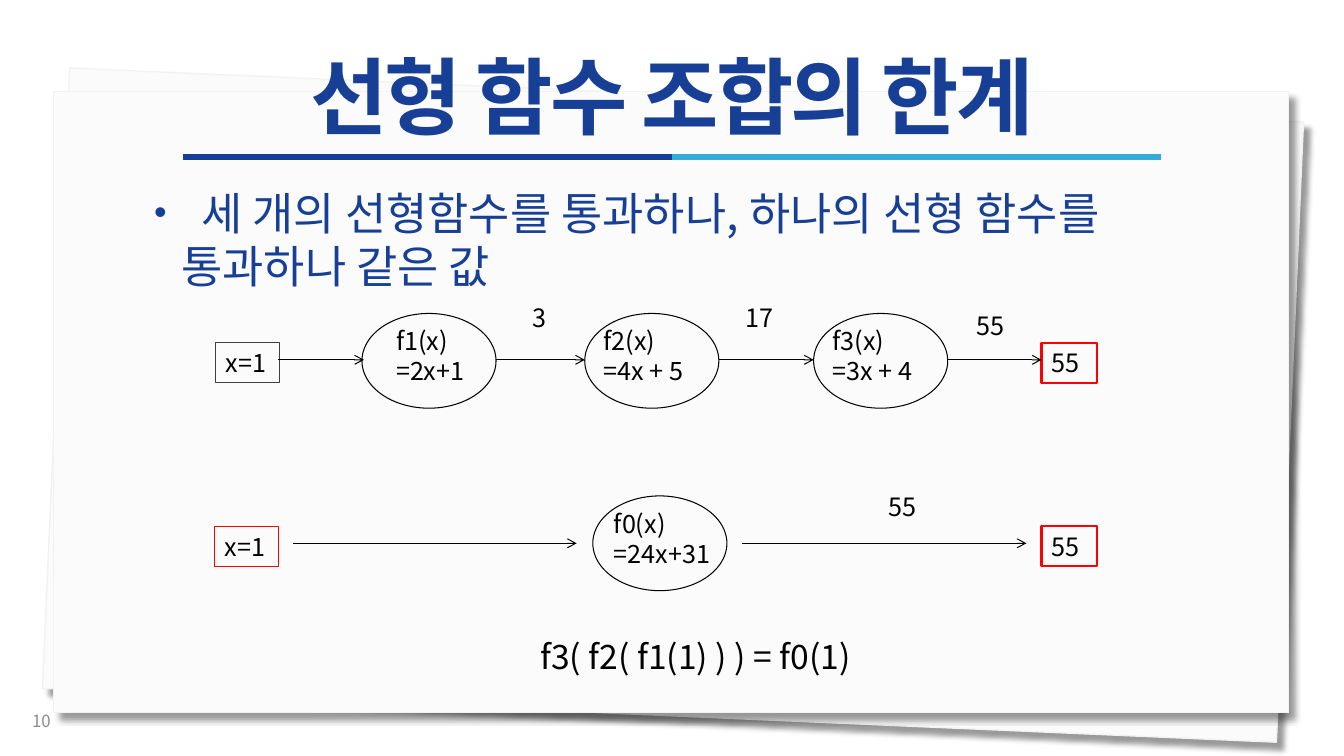
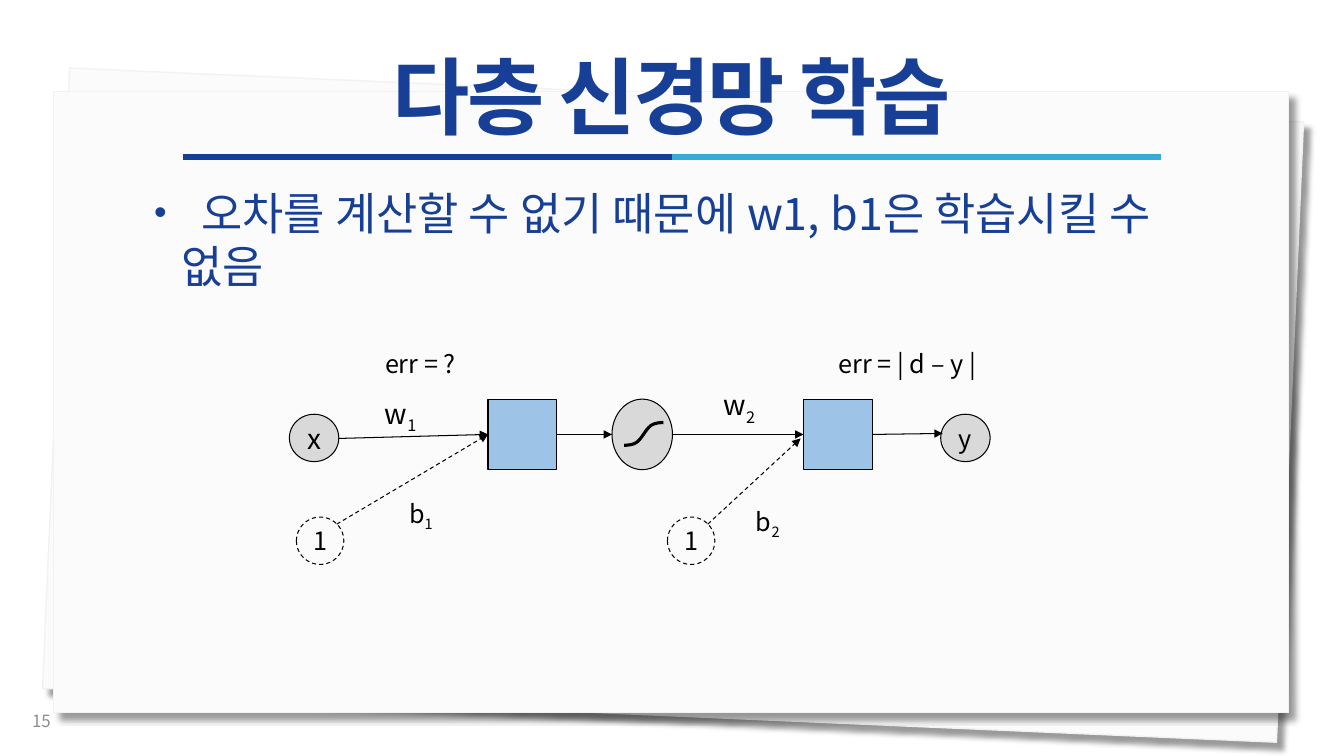
"""Build two slides about linear functions and multilayer network training."""
import math
from dataclasses import dataclass

from lxml import etree
from pptx import Presentation
from pptx.dml.color import RGBColor
from pptx.enum import dml, shapes, text
from pptx.oxml.ns import qn
from pptx.util import Inches, Pt


@dataclass(frozen=True)
class Theme:
    font: str = "Noto Sans CJK KR"
    ink: str = "000000"
    navy: str = "173F95"
    rule_dark: str = "163E94"
    rule_light: str = "36AAD9"
    paper: str = "FBFBFB"
    paper_edge: str = "F2F2F2"
    number: str = "8C8C8C"
    red: str = "FF0000"
    slate: str = "404040"
    grey: str = "D9D9D9"
    blue: str = "9DC3E6"
    title_size: int = 60
    bullet_size: int = 32
    formula_size: int = 24
    weight_size: int = 20
    label_size: int = 18
    number_size: int = 12


THEME = Theme()
WIDTH, HEIGHT = 13.33, 7.5
RECT, OVAL = shapes.MSO_SHAPE.RECTANGLE, shapes.MSO_SHAPE.OVAL
CENTER, LEFT = text.PP_ALIGN.CENTER, text.PP_ALIGN.LEFT

LINEAR = {
    "title": "선형 함수 조합의 한계",
    "number": "10",
    "bullet": "세 개의 선형함수를 통과하나, 하나의 선형 함수를 통과하나 같은 값",
    "functions": [
        (3.59, 3.11, 0.24, "f1(x)\n=2x+1"),
        (5.80, 3.11, 0.09, "f2(x)\n=4x + 5"),
        (8.07, 3.11, 0.09, "f3(x)\n=3x + 4"),
        (5.88, 4.92, 0.11, "f0(x)\n=24x+31"),
    ],
    "ends": [
        (2.14, 3.40, 0.63, "x=1", THEME.slate, 0.75),
        (2.13, 5.22, 0.63, "x=1", THEME.red, 0.75),
        (10.33, 3.40, 0.55, "55", THEME.red, 1.5),
        (10.33, 5.22, 0.55, "55", THEME.red, 1.5),
    ],
    "values": [(5.18, 2.95, "3"), (7.30, 2.95, "17"),
               (9.59, 3.03, "55"), (8.71, 4.83, "55")],
    "arrows": [
        (3.57, [(2.76, 3.61), (4.92, 5.80), (7.13, 8.07), (9.40, 10.33)]),
        (5.39, [(2.91, 5.72), (7.36, 10.18)]),
    ],
    "formula": "f3( f2( f1(1) ) ) = f0(1)",
}
NETWORK = {
    "title": "다층 신경망 학습",
    "number": "15",
    "bullet": "오차를 계산할 수 없기 때문에 w1, b1은 학습시킬 수 없음",
    "nodes": [
        (OVAL, 2.87, 4.11, 0.49, 0.47, THEME.grey, "x", THEME.weight_size),
        (RECT, 4.84, 3.96, 0.68, 0.70, THEME.blue, "", THEME.label_size),
        (OVAL, 6.07, 3.96, 0.60, 0.70, THEME.grey, "", THEME.label_size),
        (RECT, 7.97, 3.96, 0.68, 0.70, THEME.blue, "", THEME.label_size),
        (OVAL, 9.33, 4.11, 0.49, 0.47, THEME.grey, "y", THEME.label_size),
    ],
    "biases": [(2.94, 5.13), (6.62, 5.13)],
    "links": [
        (3.36, 4.35, 4.84, 4.31), (5.52, 4.31, 6.07, 4.31),
        (6.67, 4.31, 7.97, 4.31), (8.65, 4.31, 9.35, 4.30),
    ],
    "bias_links": [(3.34, 5.20, 4.84, 4.31), (7.02, 5.20, 7.94, 4.35)],
    "weights": [
        (3.72, 3.88, "w", "1", THEME.weight_size),
        (7.08, 3.80, "w", "2", THEME.weight_size),
        (3.96, 4.89, "b", "1", THEME.label_size),
        (7.40, 4.97, "b", "2", THEME.label_size),
    ],
    "errors": [(3.72, "err = ?"), (8.22, "err = | d – y |")],
}


def add_xml(parent, tag, **attributes):
    values = {name: str(value) for name, value in attributes.items()}
    return etree.SubElement(parent, qn(tag), values)


def inches(*lengths):
    return [Inches(length) for length in lengths]


def add_span(para, words, size=THEME.label_size, color=THEME.ink, bold=False,
             spacing=0, baseline=0):
    span = para.add_run()
    span.text = words
    span.font.size, span.font.bold, span.font.name = Pt(size), bold, THEME.font
    span.font.color.rgb = RGBColor.from_string(color)
    props = span.font._element
    add_xml(props, "a:ea", typeface=THEME.font)
    if spacing:
        props.set("spc", str(round(spacing * 100)))
    if baseline:
        props.set("baseline", str(baseline * 1000))


def write(shape, words, align=LEFT, anchor=text.MSO_ANCHOR.TOP, wrap=True,
          line_spacing=None, **style):
    frame = shape.text_frame
    frame.word_wrap, frame.vertical_anchor = wrap, anchor
    for index, line in enumerate(words.split("\n")):
        para = frame.add_paragraph() if index else frame.paragraphs[0]
        para.alignment, para.line_spacing = align, line_spacing
        add_span(para, line, **style)
    return frame.paragraphs[0]


def add_label(page, left, top, words, width=2.22, height=0.4, **style):
    box = page.shapes.add_textbox(*inches(left, top, width, height))
    return write(box, words, **style)


def set_line(shape, color=THEME.ink, weight=0.75, dashed=False):
    shape.line.color.rgb = RGBColor.from_string(color)
    shape.line.width = Pt(weight)
    if dashed:
        shape.line.dash_style = dml.MSO_LINE.DASH


def add_node(page, kind, left, top, width, height, fill=None, words="",
             align=CENTER, size=THEME.label_size, **outline):
    node = page.shapes.add_shape(kind, *inches(left, top, width, height))
    node.shadow.inherit = False
    if fill:
        node.fill.solid()
        node.fill.fore_color.rgb = RGBColor.from_string(fill)
    else:
        node.fill.background()
    set_line(node, **outline)
    if words:
        write(node, words, align=align, anchor=text.MSO_ANCHOR.MIDDLE,
              wrap=False, size=size)
    return node


def add_line(page, start_x, start_y, end_x, end_y, head=None, **outline):
    line = page.shapes.add_connector(
        shapes.MSO_CONNECTOR.STRAIGHT, *inches(start_x, start_y, end_x, end_y))
    set_line(line, **outline)
    if head:
        add_xml(line.line._get_or_add_ln(), "a:tailEnd", type=head)
    add_xml(line._element.spPr, "a:effectLst")


def add_paper(page, left, top, rotation):
    paper = add_node(page, RECT, left, top, 12.25, 6.16, fill=THEME.paper,
                     color=THEME.paper_edge, weight=1)
    paper.rotation = rotation
    effects = paper._element.spPr.find(qn("a:effectLst"))
    shadow = add_xml(effects, "a:outerShdw", blurRad=Pt(4), dist=Pt(7),
                     dir=45 * 60000, algn="tl", rotWithShape=0)
    add_xml(add_xml(shadow, "a:srgbClr", val=THEME.ink), "a:alpha", val=40000)


def add_bullet(page, words):
    style = {"size": THEME.bullet_size, "color": THEME.navy}
    para = add_label(page, 1.41, 1.79, " ", width=10.59, height=0.64,
                     spacing=7.2, **style)
    add_span(para, words, **style)
    props = para._p.get_or_add_pPr()
    props.set("marL", str(Inches(0.29)))
    props.set("indent", str(Inches(-0.27)))
    add_xml(props, "a:buSzPct", val=80000)
    add_xml(props, "a:buFont", typeface="Arial")
    add_xml(props, "a:buChar", char="•")


def start_page(deck, content):
    page = deck.slides.add_slide(deck.slide_layouts[6])
    add_paper(page, 0.55, 0.94, 2.5)
    add_paper(page, 0.53, 0.91, 0)
    middle, reach = WIDTH / 2, 4.85
    for start, color in ((middle - reach, THEME.rule_dark),
                         (middle, THEME.rule_light)):
        add_line(page, start, 1.56, start + reach, 1.56, color=color, weight=4.5)
    add_label(page, 0, 0.56, content["title"], width=WIDTH, height=0.9,
              align=CENTER, anchor=text.MSO_ANCHOR.MIDDLE, line_spacing=0.9,
              size=THEME.title_size, color=THEME.navy, bold=True, spacing=-1.9)
    add_label(page, 0.22, 6.95, content["number"], width=3,
              anchor=text.MSO_ANCHOR.MIDDLE, size=THEME.number_size,
              color=THEME.number)
    add_bullet(page, content["bullet"])
    return page


def build_linear(deck, content):
    page = start_page(deck, content)
    for left, top, offset, words in content["functions"]:
        add_node(page, OVAL, left, top, 1.33, 0.94)
        add_label(page, left + offset, top + 0.07, words, width=1.3,
                  height=0.71, wrap=False)
    for left, top, width, words, color, weight in content["ends"]:
        add_node(page, RECT, left, top, width, 0.4, words=words, align=LEFT,
                 color=color, weight=weight)
    for left, top, words in content["values"]:
        add_label(page, left, top, words, width=1.25)
    for level, spans in content["arrows"]:
        for start, end in spans:
            add_line(page, start, level, end, level, head="arrow")
    add_label(page, 5.26, 6.26, content["formula"], width=5.31, height=0.5,
              size=THEME.formula_size)


def add_sigmoid(page, left, top, width, height, steps=24):
    points = []
    for step in range(steps + 1):
        share = step / steps
        rise = (1 + math.tanh(5 * (share - 0.5))) / 2
        points.append(inches(left + width * share, top + height * (1 - rise)))
    builder = page.shapes.build_freeform(*points[0])
    builder.add_line_segments(points[1:], close=False)
    curve = builder.convert_to_shape()
    curve.shadow.inherit = False
    curve.fill.background()
    set_line(curve, weight=2.25)


def build_network(deck, content):
    page = start_page(deck, content)
    for kind, left, top, width, height, fill, words, size in content["nodes"]:
        add_node(page, kind, left, top, width, height, fill=fill, words=words,
                 size=size)
    for left, top in content["biases"]:
        add_node(page, OVAL, left, top, 0.47, 0.47, words="1", dashed=True)
    for name, dashed in (("links", False), ("bias_links", True)):
        for ends in content[name]:
            add_line(page, *ends, head="triangle", dashed=dashed)
    add_sigmoid(page, 6.19, 4.19, 0.39, 0.23)
    for left, top, letter, index, size in content["weights"]:
        para = add_label(page, left, top, letter, width=0.94, size=size)
        add_span(para, index, size=size, baseline=-25)
    for left, words in content["errors"]:
        add_label(page, left, 3.41, words)


def main():
    deck = Presentation()
    deck.slide_width, deck.slide_height = inches(WIDTH, HEIGHT)
    build_linear(deck, LINEAR)
    build_network(deck, NETWORK)
    deck.save("out.pptx")


if __name__ == "__main__":
    main()
